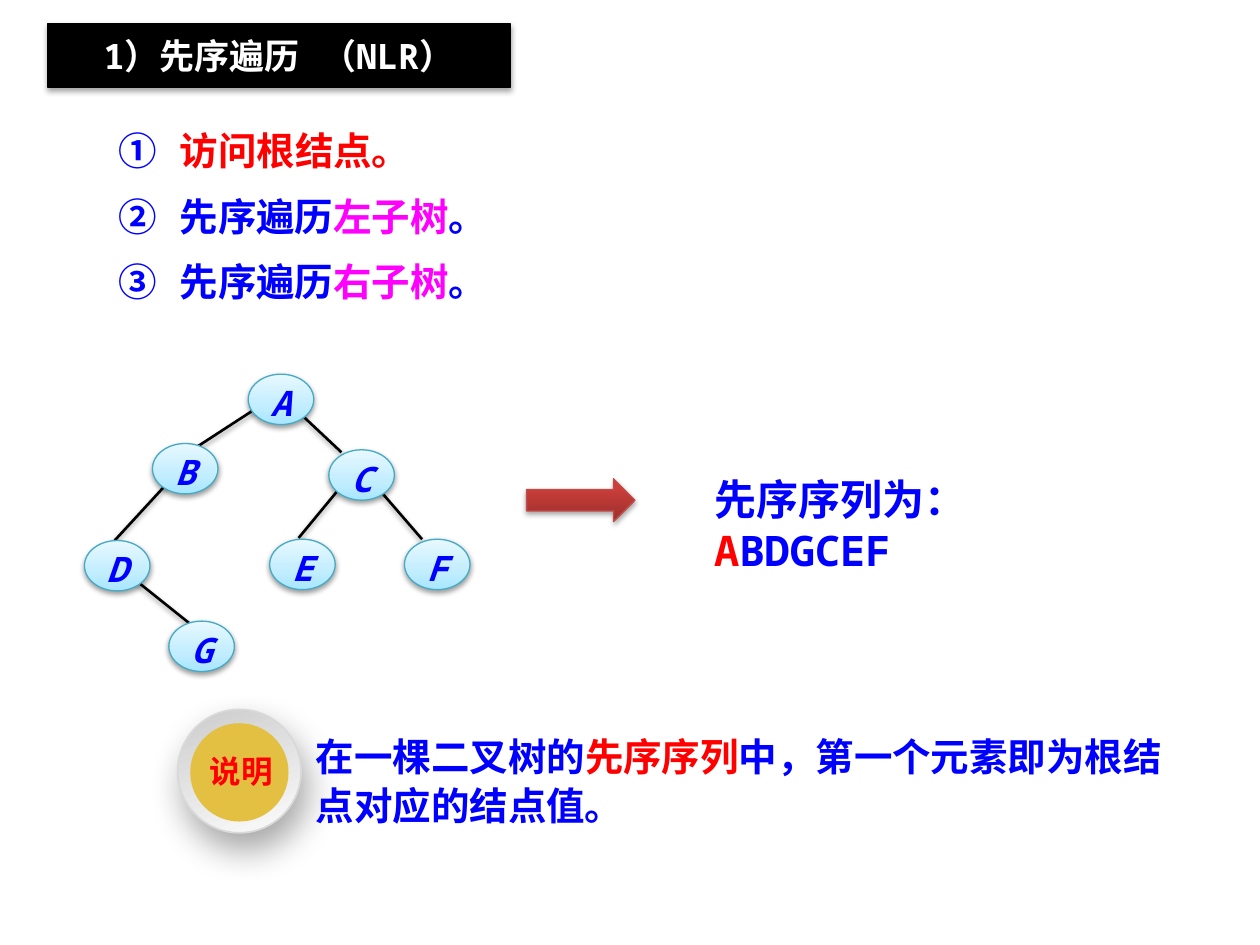
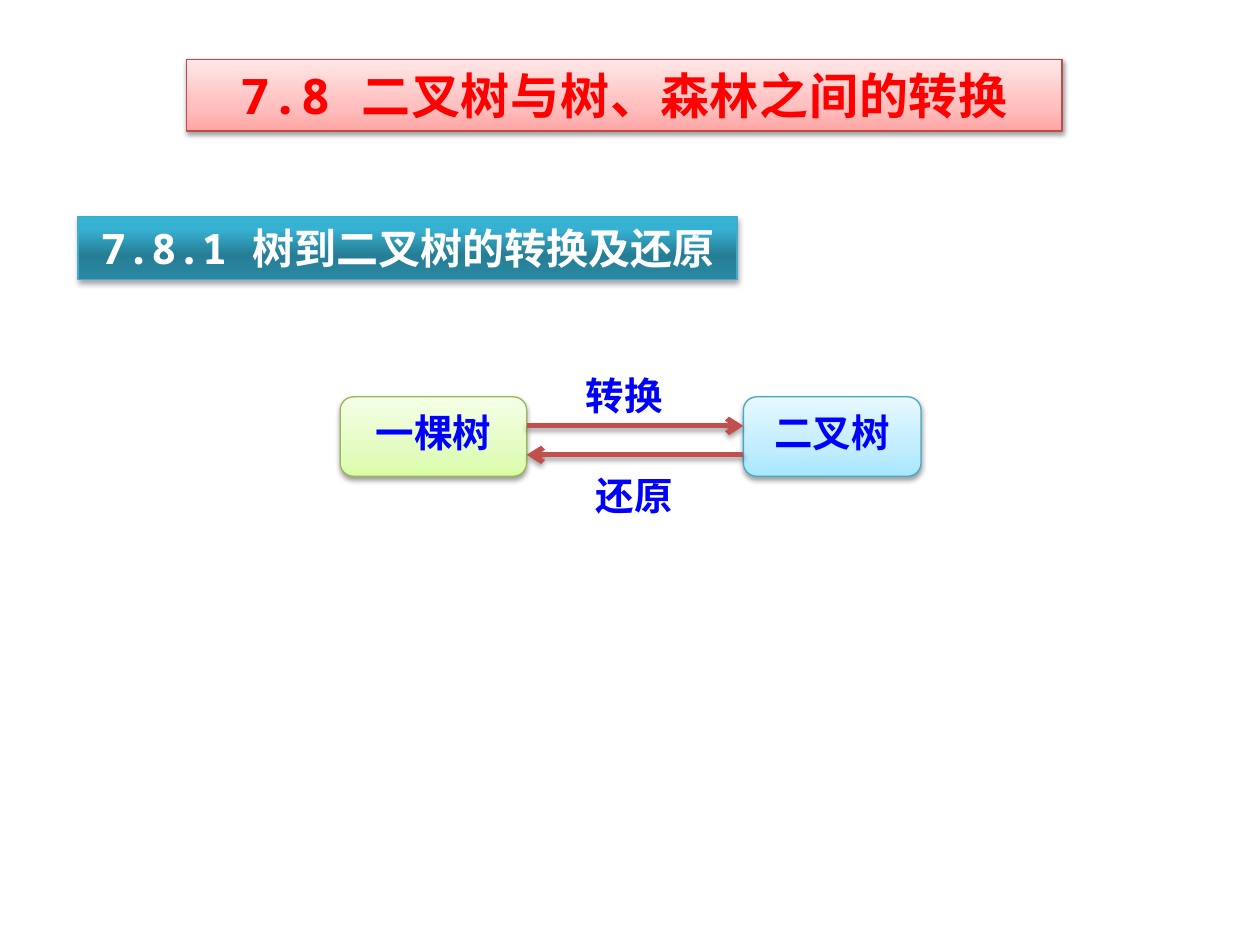
from lxml import etree
from pptx import Presentation
from pptx.dml.color import RGBColor
from pptx.enum.shapes import MSO_CONNECTOR, MSO_SHAPE
from pptx.enum.text import MSO_ANCHOR, PP_ALIGN
from pptx.oxml import parse_xml
from pptx.oxml.ns import nsdecls, qn
from pptx.util import Inches, Pt

RECT, ROUND_RECT = MSO_SHAPE.RECTANGLE, MSO_SHAPE.ROUNDED_RECTANGLE
OVAL, RIGHT_ARROW = MSO_SHAPE.OVAL, MSO_SHAPE.RIGHT_ARROW
STRAIGHT = MSO_CONNECTOR.STRAIGHT
TOP, MIDDLE = MSO_ANCHOR.TOP, MSO_ANCHOR.MIDDLE
LEFT, CENTER = PP_ALIGN.LEFT, PP_ALIGN.CENTER

MONO, SANS = "Noto Sans Mono", "Noto Sans CJK SC"
BLACK = RGBColor(0x00, 0x00, 0x00)
WHITE = RGBColor(0xFF, 0xFF, 0xFF)
BLUE = RGBColor(0x00, 0x00, 0xFF)
RED = RGBColor(0xFF, 0x00, 0x00)
MAGENTA = RGBColor(0xFF, 0x00, 0xFF)
GOLD = RGBColor(0xE3, 0xBF, 0x42)
GREY_LINE = RGBColor(0xD9, 0xD9, 0xD9)
TEAL_LINE = RGBColor(0x46, 0xAA, 0xC5)
RED_LINE = RGBColor(0xBF, 0x4C, 0x48)
GREEN_LINE = RGBColor(0x98, 0xB9, 0x55)
ARROW_RED = RGBColor(0xC0, 0x50, 0x4D)

# Gradients: (position %, colour) stops
PALE_BLUE = [(0, "A7E6FF"), (35, "C1EDFF"), (100, "E7F8FF")]
PALE_RED = [(0, "FFA6A5"), (35, "FFC0BF"), (100, "FFE7E7")]
PALE_GREEN = [(0, "DAFDA7"), (35, "E4FCC2"), (100, "F5FFE7")]
DEEP_TEAL = [(0, "2A88A2"), (40, "267E96"), (80, "37B1D2"), (100, "34B4D6")]
DEEP_RED = [(0, "9C2F2D"), (80, "CB3E3A"), (100, "CE3B37")]
SILVER = [(0, "CCCCCC"), (100, "FCFCFC")]

# Shadows: opacity %, blur pt, distance pt, direction in degrees
SOFT = (38, 3.1, 1.6, 90)
FIRM = (35, 3.1, 1.8, 90)
DEEP = (34, 20, 10, 70)

NODE_W, NODE_H = 0.52, 0.4
NODES = {"A": (1.97, 2.97), "B": (1.21, 3.52), "C": (2.61, 3.57), "D": (0.67, 4.29),
         "E": (2.14, 4.28), "F": (3.21, 4.28), "G": (1.34, 4.93)}
EDGES = [(2.38, 3.28, 2.71, 3.59), (2.7, 3.87, 2.37, 4.27), (1.02, 4.56, 1.52, 4.96),
         (2.97, 3.84, 3.35, 4.28), (1.37, 3.79, 0.91, 4.29), (2.22, 3.12, 1.45, 3.62)]


def add_shadow(effects, shadow):
    opacity, blur, dist, angle = shadow
    effects.append(parse_xml(
        f'<a:outerShdw {nsdecls("a")} blurRad="{Pt(blur)}" dist="{Pt(dist)}" '
        f'dir="{angle * 60000}" rotWithShape="0"><a:srgbClr val="000000">'
        f'<a:alpha val="{opacity * 1000}"/></a:srgbClr></a:outerShdw>'))


def set_gradient(sp, stops, angle):
    sp.fill.background()
    gs = "".join(f'<a:gs pos="{pos * 1000}"><a:srgbClr val="{color}"/></a:gs>'
                 for pos, color in stops)
    spPr = sp._element.spPr
    spPr.replace(spPr.find(qn("a:noFill")), parse_xml(
        f'<a:gradFill {nsdecls("a")} rotWithShape="1"><a:gsLst>{gs}</a:gsLst>'
        f'<a:lin ang="{angle * 60000}" scaled="0"/></a:gradFill>'))


def write_text(sp, paragraphs, size=22, color=BLUE, font=MONO, italic=False, align=LEFT,
               anchor=TOP, ins=(0.1, 0.05), line_spacing=None, space_before=0,
               spacing=None, wrap=True):
    """Each paragraph is a string or a list of strings and (string, colour) pairs."""
    tf = sp.text_frame
    tf.word_wrap = wrap
    tf.vertical_anchor = anchor
    tf.margin_left = tf.margin_right = Inches(ins[0])
    tf.margin_top = tf.margin_bottom = Inches(ins[1])
    if isinstance(paragraphs, str):
        paragraphs = [paragraphs]
    for i, runs in enumerate(paragraphs):
        p = tf.add_paragraph() if i else tf.paragraphs[0]
        p.alignment = align
        p.line_spacing = line_spacing
        if i:
            p.space_before = Pt(space_before)
        for run in [runs] if isinstance(runs, str) else runs:
            text, run_color = (run, color) if isinstance(run, str) else run
            r = p.add_run()
            r.text = text
            r.font.name = font
            r.font.size = Pt(size)
            r.font.bold = True
            r.font.italic = italic
            r.font.color.rgb = run_color
            rPr = r.font._element
            etree.SubElement(rPr, qn("a:ea")).set("typeface", font)
            if spacing:
                rPr.set("spc", str(round(spacing * 100)))


def add_text(slide, box, paragraphs, **fmt):
    sp = slide.shapes.add_textbox(*map(Inches, box))
    write_text(sp, paragraphs, **fmt)


def add_figure(slide, kind, box, fill, line=None, line_width=0.75, shadow=None,
               angle=270, text=None, **fmt):
    sp = slide.shapes.add_shape(kind, *map(Inches, box))
    if isinstance(fill, list):
        set_gradient(sp, fill, angle)
    else:
        sp.fill.solid()
        sp.fill.fore_color.rgb = fill
    if line is None:
        sp.line.fill.background()
    else:
        sp.line.color.rgb = line
        sp.line.width = Pt(line_width)
    sp.shadow.inherit = False
    if shadow:
        add_shadow(sp._element.spPr.find(qn("a:effectLst")), shadow)
    if text:
        write_text(sp, text, align=CENTER, **fmt)


def add_line(slide, ends, color, width, shadow, arrow=False):
    cxn = slide.shapes.add_connector(STRAIGHT, *map(Inches, ends))
    cxn.line.color.rgb = color
    cxn.line.width = Pt(width)
    spPr = cxn._element.spPr
    if arrow:
        etree.SubElement(spPr.find(qn("a:ln")), qn("a:tailEnd")).set("type", "arrow")
    add_shadow(etree.SubElement(spPr, qn("a:effectLst")), shadow)


def add_tree(slide):
    for ends in EDGES:
        add_line(slide, ends, BLACK, 1.5, SOFT)
    for name, (x, y) in NODES.items():
        add_figure(slide, OVAL, (x, y, NODE_W, NODE_H), PALE_BLUE, TEAL_LINE, shadow=SOFT,
                   text=name, size=20, italic=True, ins=(0, 0))


def add_note_badge(slide):
    add_figure(slide, OVAL, (1.41, 5.63, 0.98, 0.98), SILVER, GREY_LINE, 1,
               shadow=DEEP, angle=70)
    add_figure(slide, OVAL, (1.51, 5.74, 0.78, 0.78), GOLD)
    add_text(slide, (1.56, 5.98, 0.71, 0.34), "说明", size=18, color=RED, font=SANS,
             align=CENTER, line_spacing=0.8, wrap=False)


def build_preorder(slide):
    add_figure(slide, RECT, (0.38, 0.19, 3.67, 0.5), BLACK, BLACK, shadow=FIRM,
               text="1）先序遍历 （NLR）", size=20, color=WHITE, ins=(0.1, 0.08))
    add_text(slide, (0.84, 0.96, 2.89, 1.58), [
        ["① ", ("访问根结点。", RED)],
        ["② 先序遍历", ("左子树", MAGENTA), "。"],
        ["③ 先序遍历", ("右子树", MAGENTA), "。"],
    ], space_before=11)
    add_tree(slide)
    add_text(slide, (5.57, 3.71, 3.54, 0.5), [["先序序列为：", ("A", RED), "BDGCEF"]], size=24)
    add_figure(slide, RIGHT_ARROW, (4.18, 3.8, 0.86, 0.34), DEEP_RED, RED_LINE, shadow=FIRM)
    add_note_badge(slide)
    add_text(slide, (2.41, 5.75, 7.07, 0.86), [
        ["在一棵二叉树的", ("先序序列", RED), "中，第一个元素即为根结点对应的结点值。"],
    ], line_spacing=Pt(28))


def build_conversion(slide):
    add_figure(slide, RECT, (0.62, 1.72, 5.23, 0.5), DEEP_TEAL, TEAL_LINE, shadow=FIRM,
               text="7.8.1 树到二叉树的转换及还原", size=24, color=WHITE)
    add_figure(slide, RECT, (1.48, 0.47, 6.95, 0.57), PALE_RED, RED_LINE, shadow=SOFT,
               text="7.8 二叉树与树、森林之间的转换", size=28, color=RED, spacing=0.5)
    for name, x, w, fill, line in [("一棵树", 2.7, 1.48, PALE_GREEN, GREEN_LINE),
                                   ("二叉树", 5.9, 1.41, PALE_BLUE, TEAL_LINE)]:
        add_figure(slide, ROUND_RECT, (x, 3.15, w, 0.63), fill, line, shadow=SOFT,
                   text=name, anchor=MIDDLE, line_spacing=0.8)
    for label, x, y, ends in [("转换", 4.65, 2.9, (4.18, 3.38, 5.9, 3.38)),
                              ("还原", 4.73, 3.7, (5.9, 3.61, 4.18, 3.61))]:
        add_line(slide, ends, ARROW_RED, 3, FIRM, arrow=True)
        add_text(slide, (x, y, 0.7, 0.47), label, ins=(0, 0.05))


def main():
    prs = Presentation()
    prs.slide_width, prs.slide_height = Inches(10), Inches(7.5)
    for build in (build_preorder, build_conversion):
        build(prs.slides.add_slide(prs.slide_layouts[6]))
    prs.save("out.pptx")


if __name__ == "__main__":
    main()
